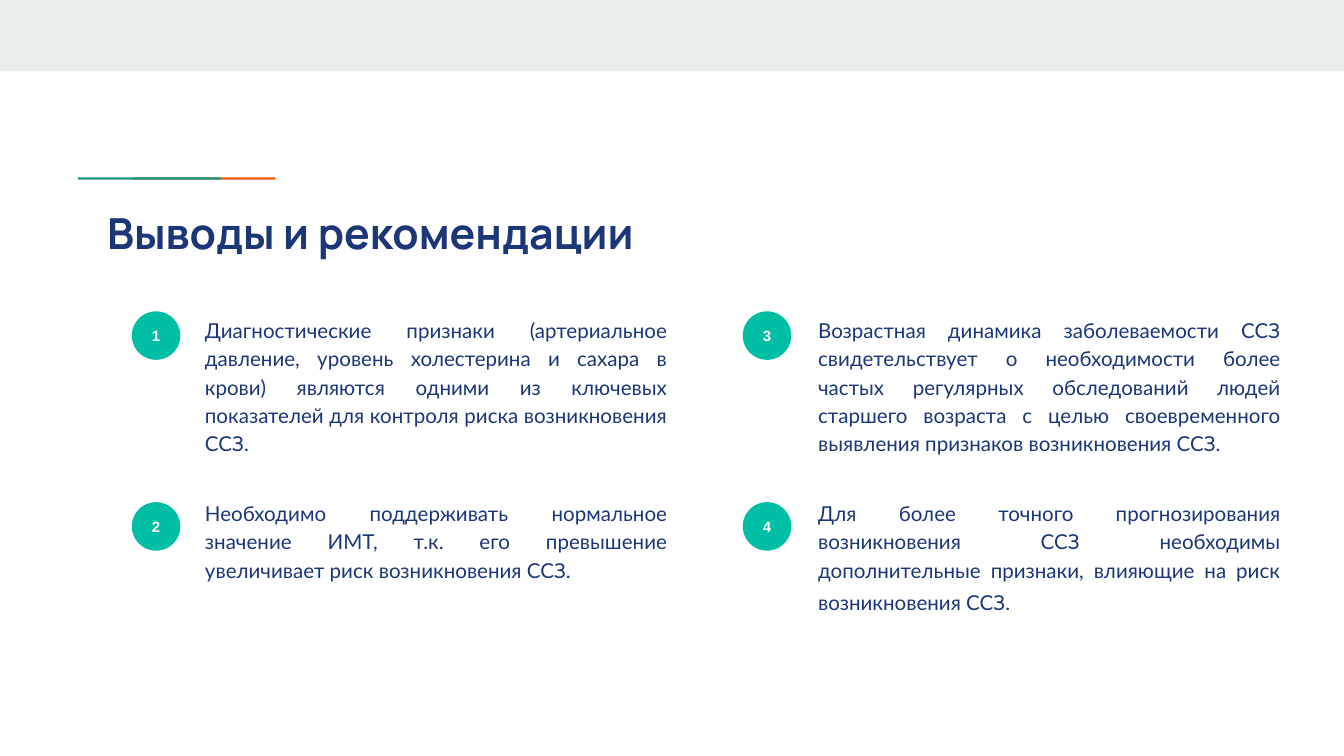
import pptx
import pptx.dml.color
import pptx.enum.shapes
import pptx.enum.text
import pptx.util

Pt = pptx.util.Pt
ALIGN = pptx.enum.text.PP_ALIGN
ANCHOR = pptx.enum.text.MSO_ANCHOR
SHAPES = pptx.enum.shapes.MSO_SHAPE

COLOURS = {
    "band": "E9EDEE",
    "orange": "EB5600",
    "green": "1A9988",
    "badge": "00BFA5",
    "navy": "1C3678",
    "white": "FFFFFF",
}

# Conclusions are numbered down the left column, then down the right one
CONCLUSIONS = [
    "Диагностические признаки (артериальное давление, уровень холестерина и сахара в крови) "
    "являются одними из ключевых показателей для контроля риска возникновения ССЗ.",
    "Необходимо поддерживать нормальное значение ИМТ, т.к. его превышение увеличивает риск "
    "возникновения ССЗ.",
    "Возрастная динамика заболеваемости ССЗ свидетельствует о необходимости более частых "
    "регулярных обследований людей старшего возраста с целью своевременного выявления "
    "признаков возникновения ССЗ.",
    "Для более точного прогнозирования возникновения ССЗ необходимы дополнительные признаки, "
    "влияющие на риск возникновения ССЗ.",
]
ROWS = 2
BADGE_LEFTS, BADGE_TOPS, BADGE_SIZE = (70.6, 397.9), (166.8, 269), 26
TEXT_LEFTS, TEXT_TOPS = (102.7, 431.2), (161.3, 259.2)
TEXT_WIDTH, TEXT_HEIGHT = 262, 94.3


def colour(name):
    return pptx.dml.color.RGBColor.from_string(COLOURS[name])


def set_margins(frame, horizontal, vertical):
    frame.margin_left = frame.margin_right = Pt(horizontal)
    frame.margin_top = frame.margin_bottom = Pt(vertical)
    frame.word_wrap = True


def add_run(paragraph, text, font, size, colour_name, bold=False):
    run = paragraph.add_run()
    run.text = text
    run.font.name = font
    run.font.size = Pt(size)
    run.font.bold = bold
    run.font.color.rgb = colour(colour_name)


def add_filled_shape(slide, kind, left, top, width, height, colour_name):
    shape = slide.shapes.add_shape(kind, Pt(left), Pt(top), Pt(width), Pt(height))
    shape.shadow.inherit = False
    shape.fill.solid()
    shape.fill.fore_color.rgb = colour(colour_name)
    shape.line.fill.background()
    return shape


def set_title(slide, text):
    title = slide.shapes.title
    title.left, title.top, title.width, title.height = Pt(57.4), Pt(103.7), Pt(605.5), Pt(42.5)
    frame = title.text_frame
    set_margins(frame, 0, 7.2)
    frame.auto_size = pptx.enum.text.MSO_AUTO_SIZE.NONE
    frame.vertical_anchor = ANCHOR.TOP
    paragraph = frame.paragraphs[0]
    paragraph.alignment = ALIGN.LEFT
    add_run(paragraph, text, "Manrope", 22.9, "navy", bold=True)


def add_badge(slide, left, top, number):
    badge = add_filled_shape(slide, SHAPES.OVAL, left, top, BADGE_SIZE, BADGE_SIZE, "badge")
    frame = badge.text_frame
    set_margins(frame, 0, 0)
    frame.vertical_anchor = ANCHOR.MIDDLE
    paragraph = frame.paragraphs[0]
    paragraph.alignment = ALIGN.CENTER
    add_run(paragraph, str(number), "Arial", 8, "white", bold=True)


def add_conclusion(slide, left, top, text):
    box = slide.shapes.add_textbox(Pt(left), Pt(top), Pt(TEXT_WIDTH), Pt(TEXT_HEIGHT))
    set_margins(box.text_frame, 7.2, 7.2)
    paragraph = box.text_frame.paragraphs[0]
    paragraph.alignment = ALIGN.JUSTIFY
    paragraph.line_spacing = 1.15
    add_run(paragraph, text, "Lato", 11, "navy")
    return paragraph


def main():
    presentation = pptx.Presentation()
    presentation.slide_width, presentation.slide_height = Pt(720), Pt(405)
    slide = presentation.slides.add_slide(presentation.slide_layouts[5])

    # Top band and two-colour accent line
    add_filled_shape(slide, SHAPES.RECTANGLE, 0, 0, 720, 38.2, "band")
    add_filled_shape(slide, SHAPES.RECTANGLE, 71.2, 95, 76.3, 1.3, "orange")
    add_filled_shape(slide, SHAPES.RECTANGLE, 41.8, 95, 76.6, 1.3, "green")

    set_title(slide, "Выводы и рекомендации")

    # Numbered conclusions
    for index, text in enumerate(CONCLUSIONS):
        column, row = divmod(index, ROWS)
        add_badge(slide, BADGE_LEFTS[column], BADGE_TOPS[row], index + 1)
        paragraph = add_conclusion(slide, TEXT_LEFTS[column], TEXT_TOPS[row], text)

    # The closing line is slightly taller
    add_run(paragraph, " ", "Lato", 13, "navy")

    presentation.save("out.pptx")


if __name__ == "__main__":
    main()
